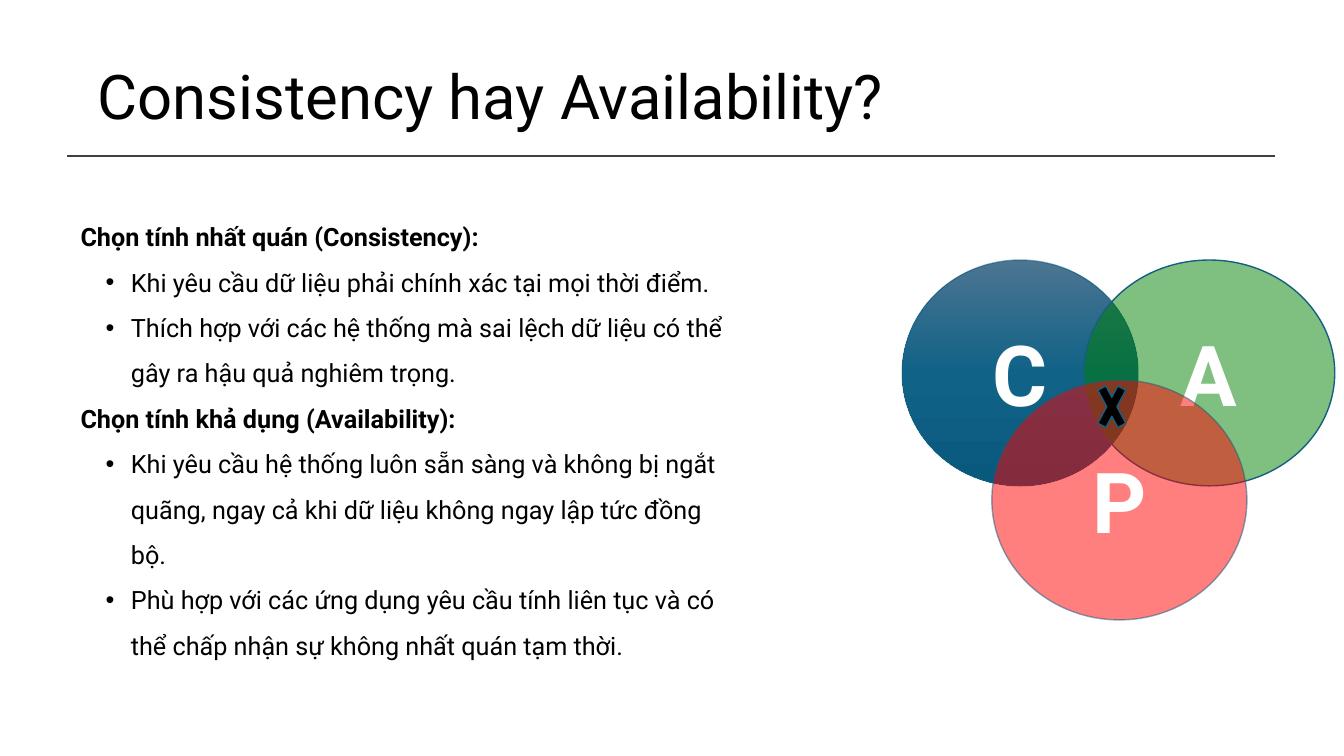
"""Build the slide comparing consistency with availability."""
from dataclasses import dataclass
from typing import Any, Optional

from lxml import etree
from pptx import Presentation
from pptx import util as u
from pptx.dml import color
from pptx.enum import shapes, text
from pptx.oxml import ns

WIDTH, HEIGHT = u.Inches(13.33), u.Inches(7.5)
FONT = "Roboto"
BLACK, WHITE = "000000", "FFFFFF"


@dataclass
class Area:
    left: float
    top: float
    width: float
    height: float

    def lengths(self) -> tuple[int, int, int, int]:
        return across(self.left), down(self.top), across(self.width), down(self.height)


@dataclass
class Mark:
    area: Area
    letter: str
    fill: str
    outline: str
    opacity: int = 100
    outline_opacity: int = 100
    stops: tuple[tuple[int, str], ...] = ()
    form: Any = shapes.MSO_SHAPE.OVAL


@dataclass
class Choice:
    heading: str
    reasons: tuple[str, ...]


MARKS = (
    Mark(Area(67.13, 34.4, 17.55, 29.87), "C", "106287", "125F82", outline_opacity=50,
         stops=((0, "4C7591"), (50, "106287"), (100, "09597D"))),
    Mark(Area(80.63, 34.4, 18.68, 29.87), "A", "008000", "156082", opacity=50),
    Mark(Area(73.8, 50.27, 18.98, 31.73), "P", "FF0000", "125F82", opacity=50,
         outline_opacity=50),
    Mark(Area(81.3, 49.07, 2.85, 9.47), "", BLACK, "156082",
         form=shapes.MSO_SHAPE.MATH_MULTIPLY),
)
CHOICES = (
    Choice("Chọn tính nhất quán (Consistency):", (
        "Khi yêu cầu dữ liệu phải chính xác tại mọi thời điểm.",
        "Thích hợp với các hệ thống mà sai lệch dữ liệu có thể gây ra hậu quả nghiêm trọng.",
    )),
    Choice("Chọn tính khả dụng (Availability):", (
        "Khi yêu cầu hệ thống luôn sẵn sàng và không bị ngắt quãng, "
        "ngay cả khi dữ liệu không ngay lập tức đồng bộ.",
        "Phù hợp với các ứng dụng yêu cầu tính liên tục và có thể chấp nhận "
        "sự không nhất quán tạm thời.",
    )),
)


def across(share: float) -> int:
    return round(WIDTH * share / 100)


def down(share: float) -> int:
    return round(HEIGHT * share / 100)


def rgb(code: str) -> color.RGBColor:
    return color.RGBColor.from_string(code)


def add_child(parent: Any, tag: str, **values: Any) -> Any:
    attributes = {name: str(value) for name, value in values.items()}
    return etree.SubElement(parent, ns.qn(tag), attributes)


def set_opacity(owner: Any, percent: int) -> None:
    if percent < 100:
        tint = owner.find(f"{ns.qn('a:solidFill')}/{ns.qn('a:srgbClr')}")
        add_child(tint, "a:alpha", val=percent * 1000)


def set_gradient(shape: Any, stops: tuple[tuple[int, str], ...]) -> None:
    shape.fill.gradient()
    shape.fill.gradient_angle = 270
    stop_list = next(shape.element.iter(ns.qn("a:gsLst")))
    for old_stop in list(stop_list):
        stop_list.remove(old_stop)
    for place, code in stops:
        stop = add_child(stop_list, "a:gs", pos=place * 1000)
        add_child(stop, "a:srgbClr", val=code)


def set_bullet(para: Any) -> None:
    settings = para._p.get_or_add_pPr()
    settings.set("marL", str(u.Inches(0.5)))
    settings.set("indent", str(u.Inches(-0.25)))
    add_child(settings, "a:buFont", typeface="Arial")
    add_child(settings, "a:buChar", char="•")


def write(frame: Any, words: str, *, size: int, code: str = BLACK, bold: bool = False,
          spacing: float = 1.0, align: Optional[Any] = None, bullet: bool = False) -> None:
    para = frame.paragraphs[0]
    if para.runs:
        para = frame.add_paragraph()
    para.line_spacing = spacing
    para.alignment = align
    if bullet:
        para.level = 1
        set_bullet(para)
    span = para.add_run()
    span.text = words
    span.font.name, span.font.size, span.font.bold = FONT, u.Pt(size), bold
    span.font.color.rgb = rgb(code)


def add_box(page: Any, area: Area, anchor: Any) -> Any:
    frame = page.shapes.add_textbox(*area.lengths()).text_frame
    frame.word_wrap = True
    frame.vertical_anchor = anchor
    return frame


def add_rule(page: Any) -> None:
    rule = page.shapes.add_connector(
        shapes.MSO_CONNECTOR.STRAIGHT, across(5), down(20.67), across(94.9), down(20.67))
    rule.line.color.rgb = rgb("404040")
    rule.line.width = u.Pt(1.5)
    add_child(rule.element.spPr, "a:effectLst")


def add_mark(group: Any, mark: Mark) -> None:
    shape = group.shapes.add_shape(mark.form, *mark.area.lengths())
    shape.shadow.inherit = False
    if mark.stops:
        set_gradient(shape, mark.stops)
    else:
        shape.fill.solid()
        shape.fill.fore_color.rgb = rgb(mark.fill)
        set_opacity(shape.element.spPr, mark.opacity)
    shape.line.color.rgb = rgb(mark.outline)
    shape.line.width = u.Pt(1)
    set_opacity(shape.element.spPr.find(ns.qn("a:ln")), mark.outline_opacity)
    if mark.letter:
        shape.text_frame.vertical_anchor = text.MSO_ANCHOR.MIDDLE
        write(shape.text_frame, mark.letter, size=60, code=WHITE, bold=True,
              align=text.PP_ALIGN.CENTER)


def main() -> None:
    deck = Presentation()
    deck.slide_width, deck.slide_height = WIDTH, HEIGHT
    page = deck.slides.add_slide(deck.slide_layouts[6])
    add_rule(page)
    title = add_box(page, Area(6.53, 6.27, 79.28, 13.87), text.MSO_ANCHOR.MIDDLE)
    write(title, "Consistency hay Availability?", size=44, spacing=0.9)
    group = page.shapes.add_group_shape()
    for mark in MARKS:
        add_mark(group, mark)
    body = add_box(page, Area(5.25, 26.67, 50.03, 55.33), text.MSO_ANCHOR.TOP)
    body.auto_size = text.MSO_AUTO_SIZE.SHAPE_TO_FIT_TEXT
    for choice in CHOICES:
        write(body, choice.heading, size=18, bold=True, spacing=1.5)
        for reason in choice.reasons:
            write(body, reason, size=18, spacing=1.5, bullet=True)
    deck.save("out.pptx")


if __name__ == "__main__":
    main()
